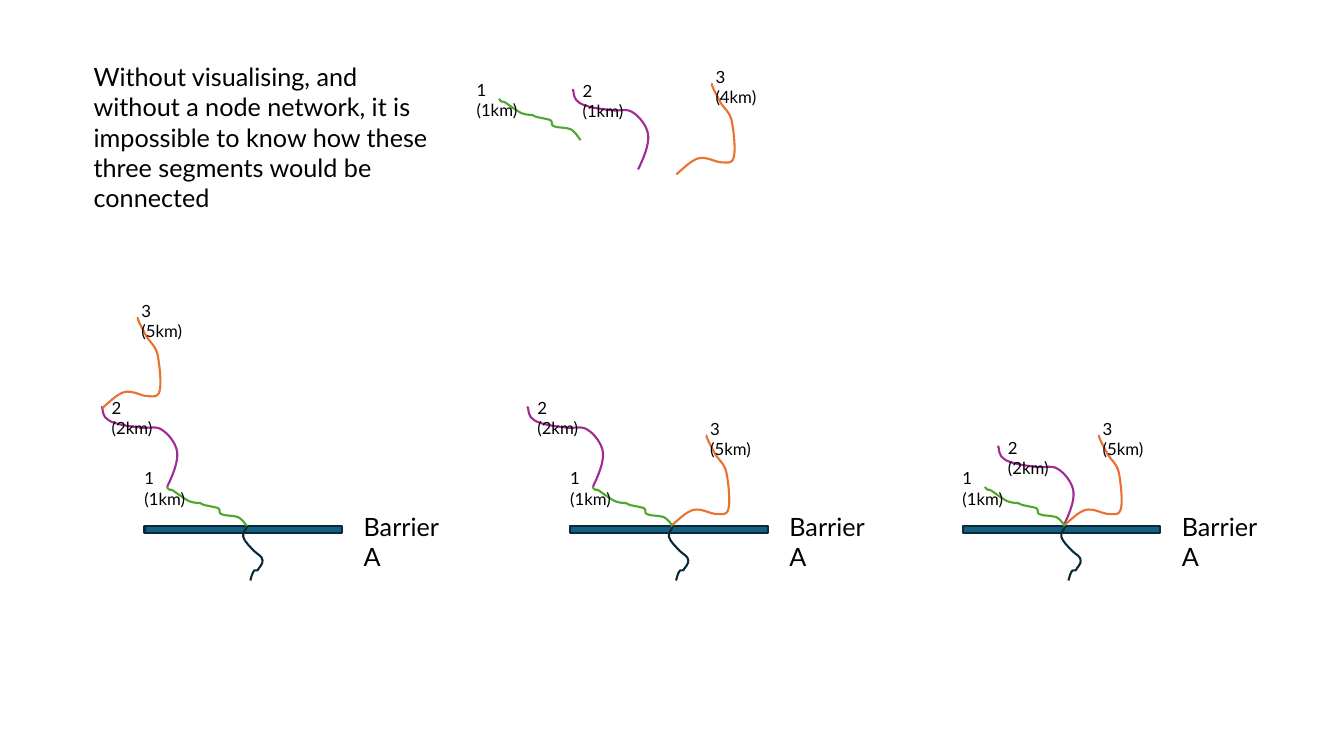
from lxml.etree import SubElement
from pptx import Presentation
from pptx.dml.color import RGBColor
from pptx.enum.shapes import MSO_SHAPE
from pptx.enum.text import MSO_ANCHOR
from pptx.oxml.ns import qn
from pptx.util import Pt

COLORS = {"text": "000000", "bar": "156082", "dark": "092A39",
          "green": "4EA72E", "purple": "A02B93", "orange": "E97132"}

# Bezier points in points, measured from the downstream end of each stream
CURVES = {
    "purple": [
        (4.3, -8.6), (7.9, -18), (7.2, -24.5),
        (6.5, -31), (0.7, -38.2), (-4.3, -41),
        (-8.6, -43.9), (-15.1, -41), (-20.9, -42.5),
        (-27.4, -43.2), (-37.4, -44.6), (-41.8, -47.5),
        (-46.1, -49.7), (-46.1, -55.4), (-46.1, -55.4),
        (-46.8, -57.6), (-46.8, -56.9), (-46.1, -56.2)],
    "orange": [
        (5.8, -5), (10.8, -10.1), (15.8, -11.5),
        (21.6, -13), (28.1, -8.6), (32.4, -8.6),
        (36.7, -8.6), (39.6, -7.2), (41, -12.2),
        (42.5, -17.3), (41, -31), (39.6, -38.2),
        (38.2, -44.6), (33.8, -47.5), (31.7, -51.1),
        (29.5, -55.4), (26.6, -60.5), (25.9, -62.6),
        (25.2, -64.8), (25.2, -64.8), (25.9, -64.8)],
    "green": [
        (-2.2, -2.9), (-4.3, -6.5), (-7.2, -7.9),
        (-10.8, -9.4), (-17.3, -8.6), (-19.4, -10.1),
        (-21.6, -10.8), (-19.4, -13), (-21.6, -14.4),
        (-23.8, -15.1), (-31.7, -16.6), (-31.7, -16.6),
        (-33.8, -17.3), (-32.4, -17.3), (-34.6, -18),
        (-36, -18), (-38.9, -18), (-42.5, -19.4),
        (-45.4, -20.9), (-53.3, -26.6), (-53.3, -26.6),
        (-55.4, -28.1), (-56.2, -27.4), (-56.2, -27.4),
        (-56.9, -27.4), (-57.6, -28.8), (-58.3, -29.5)],
    "dark": [
        (-2.2, 2.2), (-4.3, 5), (-3.6, 7.9),
        (-2.9, 10.8), (1.4, 15.1), (4.3, 18),
        (6.5, 20.2), (10.1, 21.6), (10.1, 24.5),
        (10.8, 26.6), (7.2, 30.2), (6.5, 31.7),
        (5, 32.4), (5, 31), (4.3, 31.7),
        (2.9, 33.1), (2.2, 36), (1.4, 38.9)],
}
# Label offset from the downstream end
LABELS = {"purple": (-46.8, -67), "orange": (20.9, -80.6),
          "green": (-81.4, -46.5)}
BAR_TOP = 375.8
MOUTH, TIP_1, TIP_2 = (72, 0), (16.2, -28.1), (-30.2, -84.2)
# Bar left, then where segments 2 and 3 join
PANELS = [(687.6, MOUTH, MOUTH), (407.3, TIP_1, MOUTH),
          (103.2, TIP_1, TIP_2)]
LOOSE = [("purple", 455.8, 121, "2 (1km)"),
         ("orange", 483.1, 124.6, "3 (4km)"),
         ("green", 414.7, 100.1, "1 (1km)")]


class Pen:
    def __init__(self, slide, font="Lato", width=1.5):
        self.slide, self.font, self.width = slide, font, width
        self.shapes = slide.shapes

    def group(self):
        """Send the next elements to a new group."""
        self.shapes = self.slide.shapes.add_group_shape().shapes

    def ink(self, shape, color):
        shape.shadow.inherit = False
        shape.line.color.rgb = RGBColor.from_string(COLORS[color])
        shape.line.width = Pt(self.width)

    def text(self, words, x, y, w, h, size):
        frame = self.shapes.add_textbox(Pt(x), Pt(y), Pt(w), Pt(h)).text_frame
        style = {"word_wrap": True, "vertical_anchor": MSO_ANCHOR.TOP}
        for key, value in style.items():
            setattr(frame, key, value)
        run = frame.paragraphs[0].add_run()
        run.text = words
        for key, value in {"name": self.font, "size": Pt(size)}.items():
            setattr(run.font, key, value)
        run.font.color.rgb = RGBColor.from_string(COLORS["text"])

    def bar(self, x, y, w, h):
        shape = self.shapes.add_shape(
            MSO_SHAPE.RECTANGLE, Pt(x), Pt(y), Pt(w), Pt(h))
        shape.fill.solid()
        shape.fill.fore_color.rgb = RGBColor.from_string(COLORS["bar"])
        self.ink(shape, "dark")

    def stream(self, color, x, y, label=None):
        """Draw a smooth stream from its downstream end, with its label."""
        form = self.shapes.build_freeform(Pt(x), Pt(y))
        form.add_line_segments(
            [(Pt(x + dx), Pt(y + dy)) for dx, dy in CURVES[color]], close=False)
        shape = form.convert_to_shape()
        shape.fill.background()
        self.ink(shape, color)
        track = next(shape._element.iter(qn("a:path")))
        lines = track.findall(qn("a:lnTo"))
        for i in range(0, len(lines), 3):
            curve = SubElement(track, qn("a:cubicBezTo"))
            for line in lines[i:i + 3]:
                curve.append(line[0])
                track.remove(line)
        if label:
            dx, dy = LABELS[color]
            self.text(label, x + dx, y + dy, 51, 21.8, 12)


def main():
    deck = Presentation()
    deck.slide_width, deck.slide_height = Pt(960), Pt(540)
    pen = Pen(deck.slides.add_slide(deck.slide_layouts[6]))
    pen.text("Without visualising, and without a node network, it is "
             "impossible to know how these three segments would be connected",
             59.8, 40.3, 267, 94.5, 18)
    for left, second, third in PANELS:
        pen.group()
        pen.bar(left, BAR_TOP, 141.1, 5)
        pen.text("Barrier A", left + 149.5, 361.4, 78, 29, 18)
        pen.stream("purple", left + second[0], BAR_TOP + second[1], "2 (2km)")
        pen.stream("orange", left + third[0], BAR_TOP + third[1], "3 (5km)")
        pen.stream("green", left + 74.2, BAR_TOP + 1.5, "1 (1km)")
        pen.stream("dark", left + 74.2, BAR_TOP)
    pen.group()
    for segment in LOOSE:
        pen.stream(*segment)
    deck.save("out.pptx")


if __name__ == "__main__":
    main()
